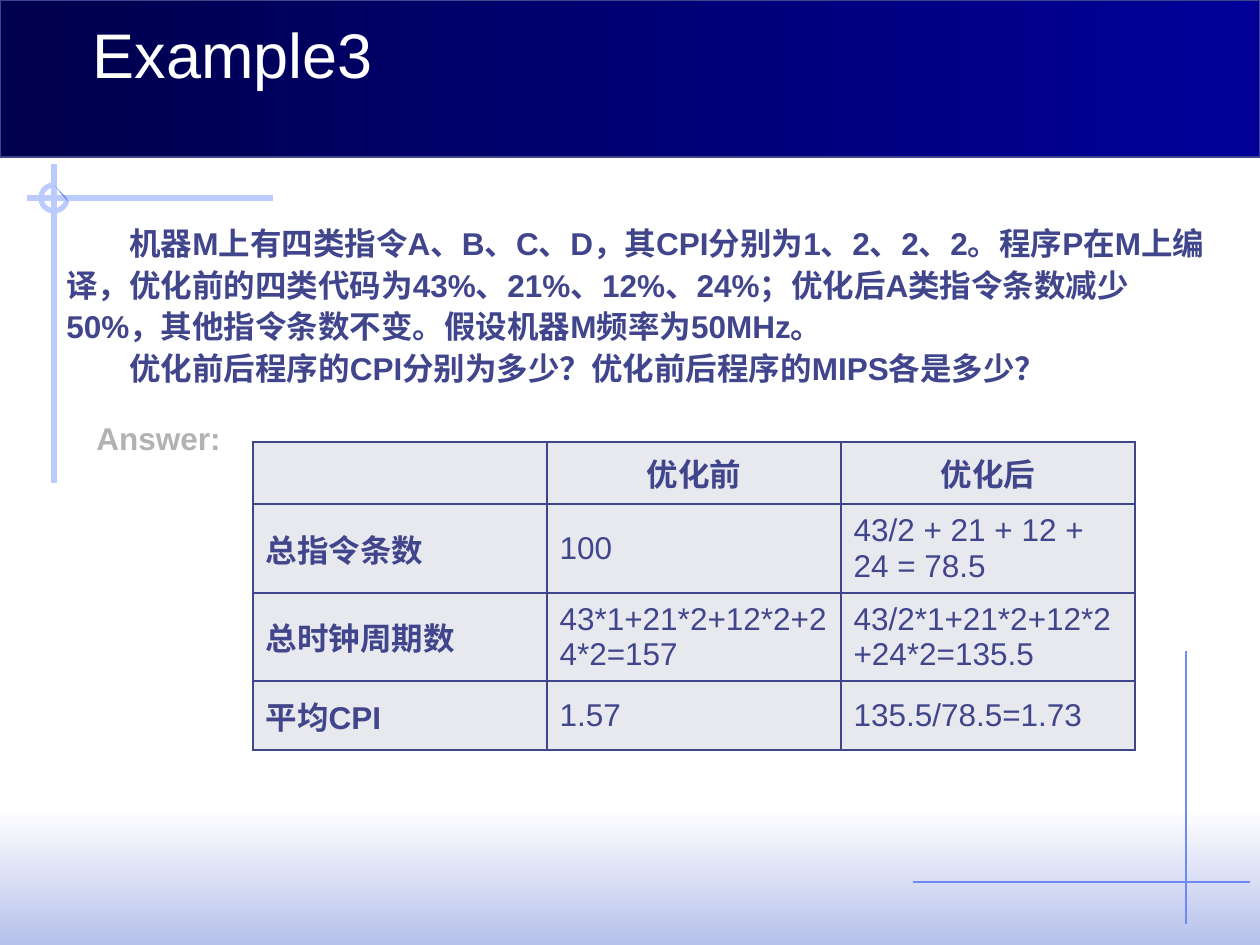
import lxml.etree
import pptx
import pptx.dml.color
import pptx.enum.shapes
import pptx.enum.text
import pptx.oxml.ns
import pptx.util

RGB = pptx.dml.color.RGBColor
SHAPE = pptx.enum.shapes.MSO_SHAPE
ALIGN = pptx.enum.text.PP_ALIGN
ANCHOR = pptx.enum.text.MSO_ANCHOR
qn = pptx.oxml.ns.qn

WHITE = RGB(0xFF, 0xFF, 0xFF)
NAVY = RGB(0x00, 0x00, 0x4D)
BLUE = RGB(0x00, 0x00, 0x99)
INDIGO = RGB(0x40, 0x45, 0x8C)
HAZE = RGB(0xB7, 0xC1, 0xEB)
PALE_BLUE = RGB(0xBB, 0xCB, 0xFD)
MID_BLUE = RGB(0x6F, 0x89, 0xF7)
GREY = RGB(0xB2, 0xB2, 0xB2)
CELL_GREY = RGB(0xE8, 0xE9, 0xEE)

WIDTH, HEIGHT = 1260, 945
SCALE = 914400 / 126

QUESTION = (
    "机器M上有四类指令A、B、C、D，其CPI分别为1、2、2、2。程序P在M上编译，"
    "优化前的四类代码为43%、21%、12%、24%；优化后A类指令条数减少50%，"
    "其他指令条数不变。假设机器M频率为50MHz。",
    "优化前后程序的CPI分别为多少？优化前后程序的MIPS各是多少？",
)
RESULTS = (
    ("", "优化前", "优化后"),
    ("总指令条数", "100", "43/2 + 21 + 12 + 24 = 78.5"),
    ("总时钟周期数", "43*1+21*2+12*2+24*2=157", "43/2*1+21*2+12*2+24*2=135.5"),
    ("平均CPI", "1.57", "135.5/78.5=1.73"),
)
ROW_HEIGHTS = (62, 89, 88, 69)


def px(*lengths):
    return [pptx.util.Emu(round(length * SCALE)) for length in lengths]


def add_run(paragraph, text, size, color, bold=False):
    run = paragraph.add_run()
    run.text = text
    run.font.name = "Arial"
    run.font.size = pptx.util.Pt(size)
    run.font.bold = bold
    run.font.color.rgb = color


def add_band(slide, box, start, end, angle, outline=None):
    """Add a rectangle with a two-colour gradient."""
    band = slide.shapes.add_shape(SHAPE.RECTANGLE, *px(*box))
    band.shadow.inherit = False
    band.fill.gradient()
    band.fill.gradient_angle = angle
    for stop, color, position in zip(band.fill.gradient_stops, (start, end), (0, 1)):
        stop.color.rgb = color
        stop.position = position
    if outline is None:
        band.line.fill.background()
    else:
        band.line.color.rgb = outline
        band.line.width = pptx.util.Pt(0.75)


def add_rule(slide, ends, color, weight):
    rule = slide.shapes.add_connector(
        pptx.enum.shapes.MSO_CONNECTOR.STRAIGHT, *px(*ends))
    rule.line.color.rgb = color
    rule.line.width = pptx.util.Pt(weight)
    lxml.etree.SubElement(rule._element.spPr, qn("a:effectLst"))


def add_crosshair(slide, box):
    """Add two thick rules with an open ring where they cross."""
    left, top, width, height = box
    x, y, radius = left + 27, top + 34, 13
    add_rule(slide, (left + width, y, left, y), PALE_BLUE, 3)
    add_rule(slide, (x, top, x, top + height), PALE_BLUE, 3)

    ring = slide.shapes.add_shape(
        SHAPE.ARC, *px(x - radius, y - radius, 2 * radius, 2 * radius))
    ring.shadow.inherit = False
    ring.adjustments[0] = 0
    ring.adjustments[1] = 270 * 0.6
    ring.fill.background()
    ring.line.color.rgb = PALE_BLUE
    ring.line.width = pptx.util.Pt(3)

    builder = slide.shapes.build_freeform(x, y - radius, scale=SCALE)
    builder.add_line_segments([(x + radius, y), (x + radius + 1, y + 4)])
    sliver = builder.convert_to_shape()
    sliver.shadow.inherit = False
    sliver.fill.solid()
    sliver.fill.fore_color.rgb = MID_BLUE
    sliver.line.fill.background()


def add_corner_rules(slide, box):
    left, top, width, height = box
    x, y = left + 273, top + 231
    add_rule(slide, (x, top, x, top + height), MID_BLUE, 0.75)
    add_rule(slide, (left, y, left + width, y), MID_BLUE, 0.75)


def place_title(slide, box, text):
    title = slide.shapes.title
    title.left, title.top, title.width, title.height = px(*box)
    frame = title.text_frame
    frame.margin_left = frame.margin_right = px(9)[0]
    frame.margin_top = frame.margin_bottom = px(4)[0]
    frame.vertical_anchor = ANCHOR.TOP
    frame.auto_size = pptx.enum.text.MSO_AUTO_SIZE.NONE
    paragraph = frame.paragraphs[0]
    paragraph.alignment = ALIGN.LEFT
    add_run(paragraph, text, 36, WHITE)
    slide.shapes._spTree.append(title._element)  # in front of the header band


def add_text(slide, box, lines, color, indent=0, spacing=1.0):
    frame = slide.shapes.add_textbox(*px(*box)).text_frame
    frame.word_wrap = True
    for index, line in enumerate(lines):
        paragraph = frame.add_paragraph() if index else frame.paragraphs[0]
        paragraph.line_spacing = spacing
        if indent:
            paragraph._p.get_or_add_pPr().set("indent", str(px(indent)[0]))
        add_run(paragraph, line, 18, color, bold=True)


def add_borders(cell):
    properties = cell._tc.get_or_add_tcPr()
    for side in ("a:lnL", "a:lnR", "a:lnT", "a:lnB"):
        border = lxml.etree.SubElement(properties, qn(side), w=str(pptx.util.Pt(1)))
        fill = lxml.etree.SubElement(border, qn("a:solidFill"))
        lxml.etree.SubElement(fill, qn("a:srgbClr"), val=str(INDIGO))


def add_results(slide, box):
    table = slide.shapes.add_table(len(RESULTS), len(RESULTS[0]), *px(*box)).table
    table.first_row = table.horz_banding = False
    for column in table.columns:
        column.width = px(box[2] / len(RESULTS[0]))[0]
    for r, (texts, height) in enumerate(zip(RESULTS, ROW_HEIGHTS)):
        table.rows[r].height = px(height)[0]
        for c, text in enumerate(texts):
            cell = table.cell(r, c)
            add_borders(cell)
            cell.fill.solid()
            cell.fill.fore_color.rgb = CELL_GREY
            cell.vertical_anchor = ANCHOR.MIDDLE
            if text:
                paragraph = cell.text_frame.paragraphs[0]
                paragraph.alignment = ALIGN.LEFT if r else ALIGN.CENTER
                add_run(paragraph, text, 18, INDIGO, bold=r == 0 or c == 0)


def main():
    deck = pptx.Presentation()
    deck.slide_width, deck.slide_height = px(WIDTH, HEIGHT)
    slide = deck.slides.add_slide(deck.slide_layouts.get_by_name("Title Only"))

    add_band(slide, (0, 809, WIDTH, HEIGHT - 809), WHITE, HAZE, 270)
    add_crosshair(slide, (27, 164, 246, 319))
    add_band(slide, (0, 0, WIDTH, 157), NAVY, BLUE, 0, outline=INDIGO)
    add_corner_rules(slide, (913, 651, 337, 273))
    place_title(slide, (84, 11, 398, 83), "Example3")
    add_text(slide, (54, 214, 1179, 180), QUESTION, INDIGO, indent=63, spacing=1.1)
    add_text(slide, (84, 413, 1056, 50), ["Answer:"], GREY)
    add_results(slide, (253, 442, 882, sum(ROW_HEIGHTS)))
    deck.save("out.pptx")


if __name__ == "__main__":
    main()
